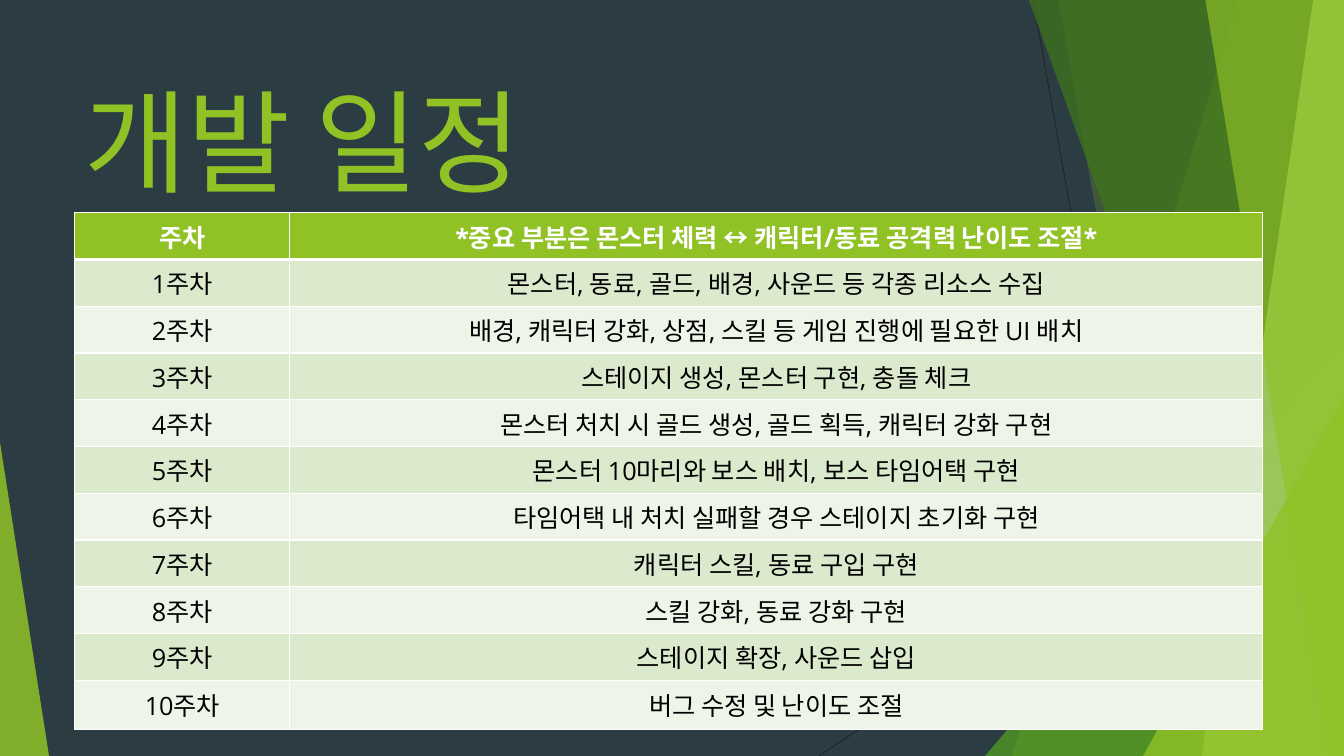
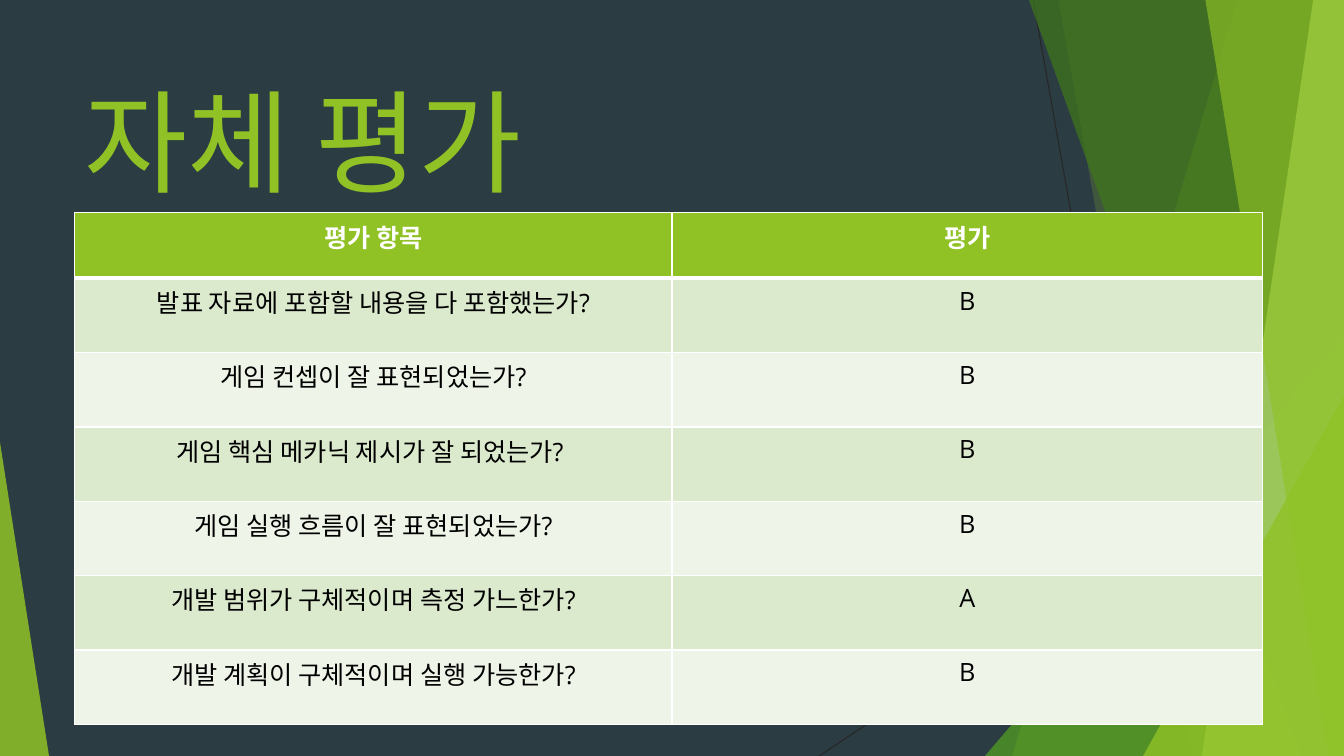
from lxml.etree import SubElement
from pptx import Presentation
from pptx.dml.color import RGBColor
from pptx.enum.shapes import MSO_CONNECTOR, MSO_SHAPE
from pptx.enum.text import MSO_ANCHOR, PP_ALIGN
from pptx.oxml.ns import qn
from pptx.util import Pt

WIDTH, HEIGHT = 960, 540
LEFT = 53.5
FONT = "Open Sans"
DARK, LINE, WHITE, BLACK = "2C3C43", "262626", "FFFFFF", "000000"
GREEN, FOREST, MOSS, LIME = "90C226", "54A021", "3F7819", "C0E474"
ROW_FILLS = ("DBE9CD", "EEF4E8")

SCHEDULE = [
    "몬스터, 동료, 골드, 배경, 사운드 등 각종 리소스 수집",
    "배경, 캐릭터 강화, 상점, 스킬 등 게임 진행에 필요한 UI 배치",
    "스테이지 생성, 몬스터 구현, 충돌 체크",
    "몬스터 처치 시 골드 생성, 골드 획득, 캐릭터 강화 구현",
    "몬스터 10마리와 보스 배치, 보스 타임어택 구현",
    "타임어택 내 처치 실패할 경우 스테이지 초기화 구현",
    "캐릭터 스킬, 동료 구입 구현",
    "스킬 강화, 동료 강화 구현",
    "스테이지 확장, 사운드 삽입",
    "버그 수정 및 난이도 조절",
]
REVIEW = [
    ("평가 항목", "평가"),
    ("발표 자료에 포함할 내용을 다 포함했는가?", "B"),
    ("게임 컨셉이 잘 표현되었는가?", "B"),
    ("게임 핵심 메카닉 제시가 잘 되었는가? ", "B"),
    ("게임 실행 흐름이 잘 표현되었는가?", "B"),
    ("개발 범위가 구체적이며 측정 가느한가?", "A"),
    ("개발 계획이 구체적이며 실행 가능한가?", "B"),
]


def rgb(color):
    return RGBColor.from_string(color)


def style_text(p, size, color, bold=False):
    for r in p.runs:
        r.font.name = FONT
        r.font.size = Pt(size)
        r.font.bold = bold
        r.font.color.rgb = rgb(color)


def paint(sp, color, opacity):
    sp.shadow.inherit = False
    sp.line.fill.background()
    sp.fill.solid()
    sp.fill.fore_color.rgb = rgb(color)
    clr = sp._element.spPr.find(".//" + qn("a:srgbClr"))
    SubElement(clr, qn("a:alpha"), val=str(opacity * 1000))


def add_line(s, x1, y1, x2, y2):
    line = s.shapes.add_connector(
        MSO_CONNECTOR.STRAIGHT, Pt(x1), Pt(y1), Pt(x2), Pt(y2))
    line.line.color.rgb = rgb(LINE)
    line.line.width = Pt(0.75)
    SubElement(line._element.spPr, qn("a:effectLst"))


def add_band(s, top_x, bottom_x, color, opacity):
    builder = s.shapes.build_freeform(Pt(top_x), 0)
    corners = [(WIDTH, 0), (WIDTH, HEIGHT), (bottom_x, HEIGHT)]
    builder.add_line_segments([(Pt(x), Pt(y)) for x, y in corners], close=True)
    paint(builder.convert_to_shape(), color, opacity)


def add_triangle(s, left, top, width, apex, color, opacity):
    sp = s.shapes.add_shape(MSO_SHAPE.ISOSCELES_TRIANGLE, Pt(left), Pt(top),
                            Pt(width), Pt(HEIGHT - top))
    sp.adjustments[0] = apex
    paint(sp, color, opacity)


def add_facets(s):
    add_line(s, 738, 0, 834, HEIGHT)
    add_line(s, WIDTH, 290, 585, HEIGHT)
    add_band(s, 884, 723, GREEN, 30)
    add_band(s, 756, 852, GREEN, 20)
    add_triangle(s, 703.5, 240, 256.5, 1, FOREST, 72)
    add_band(s, 735, 929.5, MOSS, 70)
    add_band(s, 938, 858.5, LIME, 70)
    add_band(s, 861, 949, GREEN, 65)
    add_triangle(s, 816.5, 283, 143.5, 1, GREEN, 80)
    add_triangle(s, 0, 316, 35, 0, GREEN, 85)


def add_title(s, text):
    tf = s.shapes.add_textbox(Pt(LEFT), Pt(48), Pt(677), Pt(104)).text_frame
    tf.word_wrap = True
    tf.vertical_anchor = MSO_ANCHOR.MIDDLE
    tf.text = text
    style_text(tf.paragraphs[0], 80, GREEN)


def add_borders(cell, top, bottom):
    tc_pr = cell._tc.get_or_add_tcPr()
    for side, width in (("L", 1), ("R", 1), ("T", top), ("B", bottom)):
        ln = SubElement(tc_pr, qn("a:ln" + side), w=str(Pt(width)))
        fill = SubElement(ln, qn("a:solidFill"))
        SubElement(fill, qn("a:srgbClr"), val=WHITE)


def style_cell(cell, text, row, anchor):
    header = row == 0
    add_borders(cell, 3 if row == 1 else 1, 3 if header else 1)
    cell.fill.solid()
    cell.fill.fore_color.rgb = rgb(GREEN if header else ROW_FILLS[(row - 1) % 2])
    cell.vertical_anchor = anchor
    cell.text = text
    p = cell.text_frame.paragraphs[0]
    p.alignment = PP_ALIGN.CENTER
    style_text(p, 18, WHITE if header else BLACK, header)


def add_grid(s, rows, widths, heights, anchor):
    table = s.shapes.add_table(len(rows), len(widths), Pt(LEFT), Pt(152),
                               Pt(sum(widths)), Pt(sum(heights))).table
    for column, width in zip(table.columns, widths):
        column.width = Pt(width)
    for i, (values, height) in enumerate(zip(rows, heights)):
        table.rows[i].height = Pt(height)
        for j, text in enumerate(values):
            style_cell(table.cell(i, j), text, i, anchor)


def add_table_slide(prs, title, rows, widths, heights, anchor):
    s = prs.slides.add_slide(prs.slide_layouts[6])
    add_facets(s)
    add_title(s, title)
    add_grid(s, rows, widths, heights, anchor)


def main():
    prs = Presentation()
    prs.slide_width, prs.slide_height = Pt(WIDTH), Pt(HEIGHT)
    background = prs.slide_master.background.fill
    background.solid()
    background.fore_color.rgb = rgb(DARK)

    weeks = [("주차", "*중요 부분은 몬스터 체력 ↔ 캐릭터/동료 공격력 난이도 조절*")]
    weeks += [(f"{n}주차", task) for n, task in enumerate(SCHEDULE, 1)]
    add_table_slide(prs, "개발 일정", weeks, [153.5, 695],
                    [33.4] * 10 + [35], MSO_ANCHOR.MIDDLE)
    add_table_slide(prs, "자체 평가", REVIEW, [426.5, 422],
                    [46.8] + [53.1] * 6, MSO_ANCHOR.TOP)
    prs.save("out.pptx")


if __name__ == "__main__":
    main()
